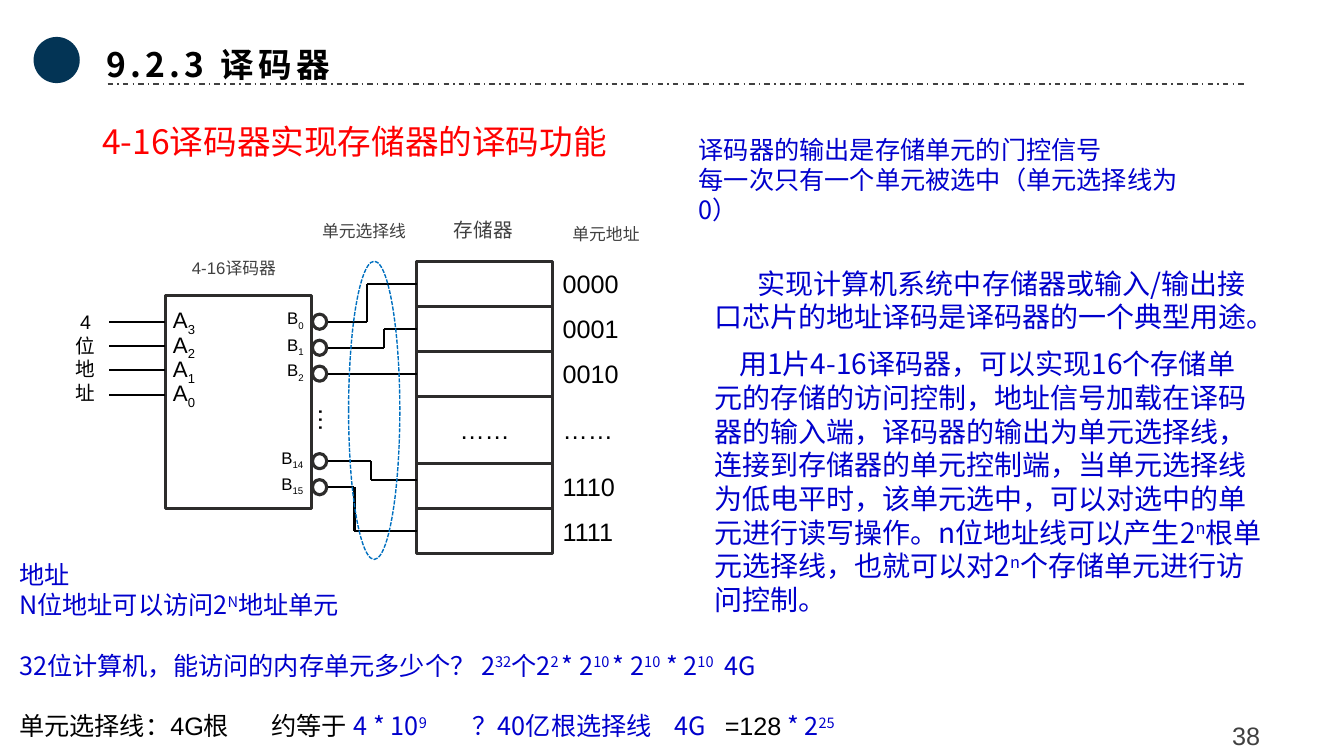
from collections import namedtuple
from itertools import accumulate
from pptx import Presentation
from pptx.dml.color import RGBColor
from pptx.enum.dml import MSO_LINE
from pptx.enum.shapes import MSO_CONNECTOR, MSO_SHAPE
from pptx.enum.text import MSO_ANCHOR, MSO_AUTO_SIZE, PP_ALIGN
from pptx.oxml.ns import qn
from pptx.util import Pt
from lxml.etree import SubElement

COLS, ROWS, UNIT = 16, 9, 762000
COLORS = {"navy": "033455", "grey": "404040", "black": "000000", "red": "FF0000",
          "blue": "0000CC", "edge": "2D2C2B", "white": "FFFFFF", "loop": "0070C0"}
CJK, LATIN = "Noto Sans CJK SC", "Arial"
Box = namedtuple("Box", "x y w h")
Style = namedtuple("Style", "size face color")
NOTE = Style(18, CJK, "blue")
LABEL = Style(18, LATIN, "black")


def u(n):
    """Turn grid units into EMU."""
    return round(n * UNIT)


def rgb(name):
    """Look up a colour by name."""
    return RGBColor.from_string(COLORS[name])


def write(p, text, style, shift=30, bold=None, track=None):
    """Add runs to a paragraph; every second part between bars is shifted."""
    for i, part in enumerate(text.split("|")):
        if not part:
            continue
        r = p.add_run()
        r.text = part
        r.font.size, r.font.name, r.font.bold = Pt(style.size), style.face, bold
        r.font.color.rgb = rgb(style.color)
        rPr = r._r.get_or_add_rPr()
        ea = rPr.makeelement(qn("a:ea"), {"typeface": style.face})
        rPr.find(qn("a:latin")).addnext(ea)
        if i % 2:
            rPr.set("baseline", str(shift * 1000))
        if track:
            rPr.set("spc", str(track * 100))


def layout(p, size, before=0, spacing=1.2, indent=0, tabs=()):
    """Set paragraph spacing, first-line indent and tab stops."""
    pPr = p._p.get_or_add_pPr()
    pPr.set("marL", "0")
    pPr.set("indent", str(u(indent)))
    SubElement(pPr, qn("a:buNone"))
    if tabs:
        stops = SubElement(pPr, qn("a:tabLst"))
        for tab in tabs:
            SubElement(stops, qn("a:tab"), pos=str(u(tab)), algn="l")
    p.line_spacing = Pt(size * spacing)
    p.space_before = Pt(before)


def place(sp, box):
    """Move a shape to a box."""
    sp.left, sp.top, sp.width, sp.height = map(u, box)


def frame(sp, anchor=MSO_ANCHOR.TOP):
    """Prepare a wrapping text frame of fixed size."""
    tf = sp.text_frame
    tf.word_wrap, tf.auto_size, tf.vertical_anchor = True, MSO_AUTO_SIZE.NONE, anchor
    return tf


def textbox(s, box, anchor=MSO_ANCHOR.TOP):
    """Add an empty text box and return its frame."""
    return frame(s.shapes.add_textbox(*map(u, box)), anchor)


def label(s, box, text, style=LABEL, align=PP_ALIGN.LEFT, spacing=None, inset=None, shift=-25):
    """Add a one-paragraph label centred vertically in its box."""
    tf = textbox(s, box, MSO_ANCHOR.MIDDLE)
    if inset is not None:
        tf.margin_left = tf.margin_right = inset
        tf.margin_top = tf.margin_bottom = inset
    p = tf.paragraphs[0]
    p.alignment, p.line_spacing = align, spacing
    write(p, text, style, shift)
    return tf


def shape(s, kind, box, fill=None, edge=None, width=2):
    """Add a flat preset shape."""
    sp = s.shapes.add_shape(kind, *map(u, box))
    sp.shadow.inherit = False
    if fill:
        sp.fill.solid()
        sp.fill.fore_color.rgb = rgb(fill)
    else:
        sp.fill.background()
    if edge:
        sp.line.color.rgb, sp.line.width = rgb(edge), Pt(width)
    else:
        sp.line.fill.background()
    return sp


def line(s, start, end, color="black", width=1.5):
    """Add a straight line between two grid points."""
    c = s.shapes.add_connector(MSO_CONNECTOR.STRAIGHT, *map(u, (*start, *end)))
    c.line.color.rgb, c.line.width = rgb(color), Pt(width)
    SubElement(c._element.spPr, qn("a:effectLst"))
    return c


def header(s, box):
    """Draw the dot, section title and dashed rule."""
    shape(s, MSO_SHAPE.OVAL, Box(box.x, box.y + .08, .55, .55), "navy")
    title = s.shapes.title
    place(title, Box(box.x + .75, box.y, box.w - .75, box.h))
    p = frame(title, MSO_ANCHOR.MIDDLE).paragraphs[0]
    p.alignment = PP_ALIGN.LEFT
    layout(p, 24, spacing=1.44)
    write(p, "9.2.3 译码器", Style(24, CJK, "black"), bold=True, track=3)
    y = box.y + .64
    line(s, (box.x + .88, y), (box.x + box.w, y), "grey", 1).line.dash_style = MSO_LINE.DASH_DOT


def explanation(s, box):
    """Fill the body placeholder with the two explaining paragraphs."""
    body = s.placeholders[1]
    place(body, box)
    tf = frame(body)
    style = Style(20, CJK, "blue")
    texts = [
        (.52, "实现计算机系统中存储器或输入/输出接口芯片的地址译码是译码器的一个典型用途。"),
        (.3, "用1片4-16译码器，可以实现16个存储单元的存储的访问控制，地址信号加载在译码器的输入端，"
             "译码器的输出为单元选择线，连接到存储器的单元控制端，当单元选择线为低电平时，该单元选中，"
             "可以对选中的单元进行读写操作。n位地址线可以产生2|n|根单元选择线，"
             "也就可以对2|n|个存储单元进行访问控制。")]
    for i, (indent, text) in enumerate(texts):
        p = tf.add_paragraph() if i else tf.paragraphs[0]
        p.alignment = PP_ALIGN.LEFT
        layout(p, 20, before=9.6 * i, indent=indent)
        write(p, text, style)


def paragraphs(s, box, items, size=18):
    """Add a text box of paragraphs given as (space before, tabs, runs)."""
    tf = textbox(s, box)
    for i, (before, tabs, runs) in enumerate(items):
        p = tf.add_paragraph() if i else tf.paragraphs[0]
        layout(p, size, before=before, tabs=tabs)
        for text, style in runs:
            write(p, text, style)


def decoder(s, box):
    """Draw the decoder with its input pins and output names."""
    shape(s, MSO_SHAPE.RECTANGLE, box, "white", "edge")
    for i in range(4):
        y = box.y + .31 + .29 * i
        line(s, (box.x, y), (box.x - .67, y))
        label(s, Box(box.x + .09, y - .23, .46, .46), f"A|{3 - i}|", Style(16, LATIN, "black"), inset=0)
    label(s, Box(box.x - 1.11, box.y + .51, .32, .44), "4位地址", Style(14, LATIN, "black"),
          PP_ALIGN.CENTER, inset=0)
    dots = label(s, Box(box.x + 1.65, box.y + 1.21, .6, .47), "…")
    dots._txBody.bodyPr.set("vert", "eaVert")


def memory(s, box):
    """Stack the memory cells with their addresses and return the cells."""
    names = ["0000", "0001", "0010", "……", "1110", "1111"]
    weights = [1.5 if name == "……" else 1 for name in names]
    heights = [box.h * n / sum(weights) for n in weights]
    cells = []
    for name, h, bottom in zip(names, heights, accumulate(heights)):
        row = Box(box.x, box.y + bottom - h, box.w, h)
        cells.append(shape(s, MSO_SHAPE.RECTANGLE, row, "white", "edge"))
        label(s, row._replace(x=box.x + box.w), name)
    p = frame(cells[3], MSO_ANCHOR.MIDDLE).paragraphs[0]
    p.alignment = PP_ALIGN.CENTER
    write(p, "……", LABEL)
    return cells


def wires(s, box, cells):
    """Draw output names, inverting circles and select lines up to the cells."""
    outputs = [(0, .31, .65, 0, None), (1, .62, .85, 1, None), (2, .93, None, 2, None),
               (14, 1.97, .7, 4, 2.19), (15, 2.28, .5, 5, None)]
    for number, dy, bend, index, end in outputs:
        cell = cells[index]
        middle = (cell.top + cell.height / 2) / UNIT
        y = box.y + dy if bend else middle
        target = box.y + end if end else middle
        x = box.x + bend if bend else box.x + .17
        if bend:
            line(s, (box.x + .17, y), (x, y))
            line(s, (x, y), (x, target))
        last = line(s, (x, target), (box.x + box.w, target))
        if not end:
            last.end_connect(cell, 1)
        shape(s, MSO_SHAPE.OVAL, Box(box.x, y - .09, .17, .18), "white", "edge", 2.25)
        w = .33 if number > 9 else .26
        label(s, Box(box.x - .04 - w, y - .2, w, .35), f"B|{number}|", Style(12, LATIN, "black"), inset=0)
    loop = shape(s, MSO_SHAPE.OVAL, Box(box.x + .43, box.y - .41, .61, 3.55), None, "loop", 1)
    loop.line.dash_style = MSO_LINE.SQUARE_DOT


def diagram(s, box):
    """Assemble decoder, memory, select lines and captions."""
    decoder(s, Box(box.x + 1.11, box.y + 1.05, 1.74, 2.53))
    cells = memory(s, Box(box.x + 4.1, box.y + .64, 1.62, 3.48))
    wires(s, Box(box.x + 2.86, box.y + 1.05, 1.24, 2.53), cells)
    captions = [("存储器", 14, 4.2, 0, 1.39, .48), ("单元地址", 12, 5.76, .09, 1.19, .41),
                ("4-16译码器", 12, 1.18, .51, 1.49, .38), ("单元选择线", 12, 2.73, .06, 1.49, .38)]
    for text, size, x, y, w, h in captions:
        label(s, Box(box.x + x, box.y + y, w, h), text, Style(size, LATIN, "grey"), PP_ALIGN.CENTER, 1.2)


def main():
    """Build and save the slide."""
    prs = Presentation()
    prs.slide_width, prs.slide_height = u(COLS), u(ROWS)
    s = prs.slides.add_slide(prs.slide_layouts[1])
    header(s, Box(.4, .36, 14.43, .71))
    paragraphs(s, Box(1.1, 1.38, 6.6, .6),
               [(0, (), [("4-16译码器实现存储器的译码功能", Style(24, CJK, "red"))])], 24)
    explanation(s, Box(8.38, 3.11, 6.77, 4.37))
    diagram(s, Box(.86, 2.47, 7.34, 4.24))
    paragraphs(s, Box(8.2, 1.54, 6.3, 1.2), [
        (0, (), [("译码器的输出是存储单元的门控信号", NOTE)]),
        (0, (), [("每一次只有一个单元被选中（单元选择线为0）", NOTE)])])
    paragraphs(s, Box(.11, 6.6, 10, 2.3), [
        (0, (), [("地址", NOTE)]),
        (0, (), [("N位地址可以访问2|N|地址单元", NOTE)]),
        (21.6, (8.78,), [("32位计算机，能访问的内存单元多少个？ 2|32|个2|2 |* 2|10 |* 2|10| * 2|10|\t4G", NOTE)]),
        (21.6, (2.77, 4.88, 7.39, 8.03), [
            ("单元选择线：4G根\t约等于 ", LABEL), ("4 * 10|9|\t？40亿根选择线\t4G\t", NOTE),
            ("=128", LABEL), (" * 2|25|", NOTE)])])
    label(s, Box(13.78, 8.46, 2.11, .52), "38", Style(18, LATIN, "grey"), PP_ALIGN.CENTER, 1.2)
    prs.save("out.pptx")


if __name__ == "__main__":
    main()
